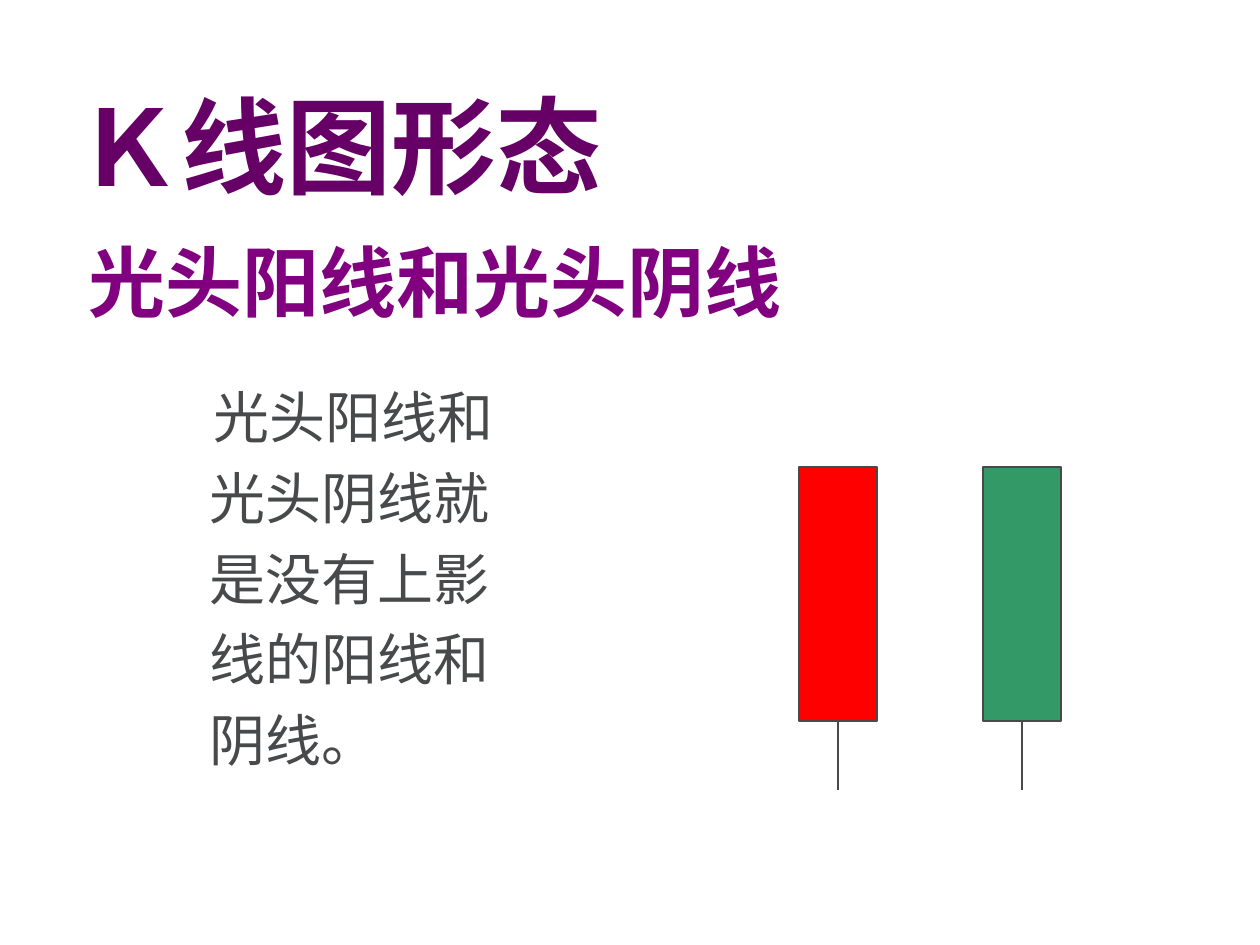
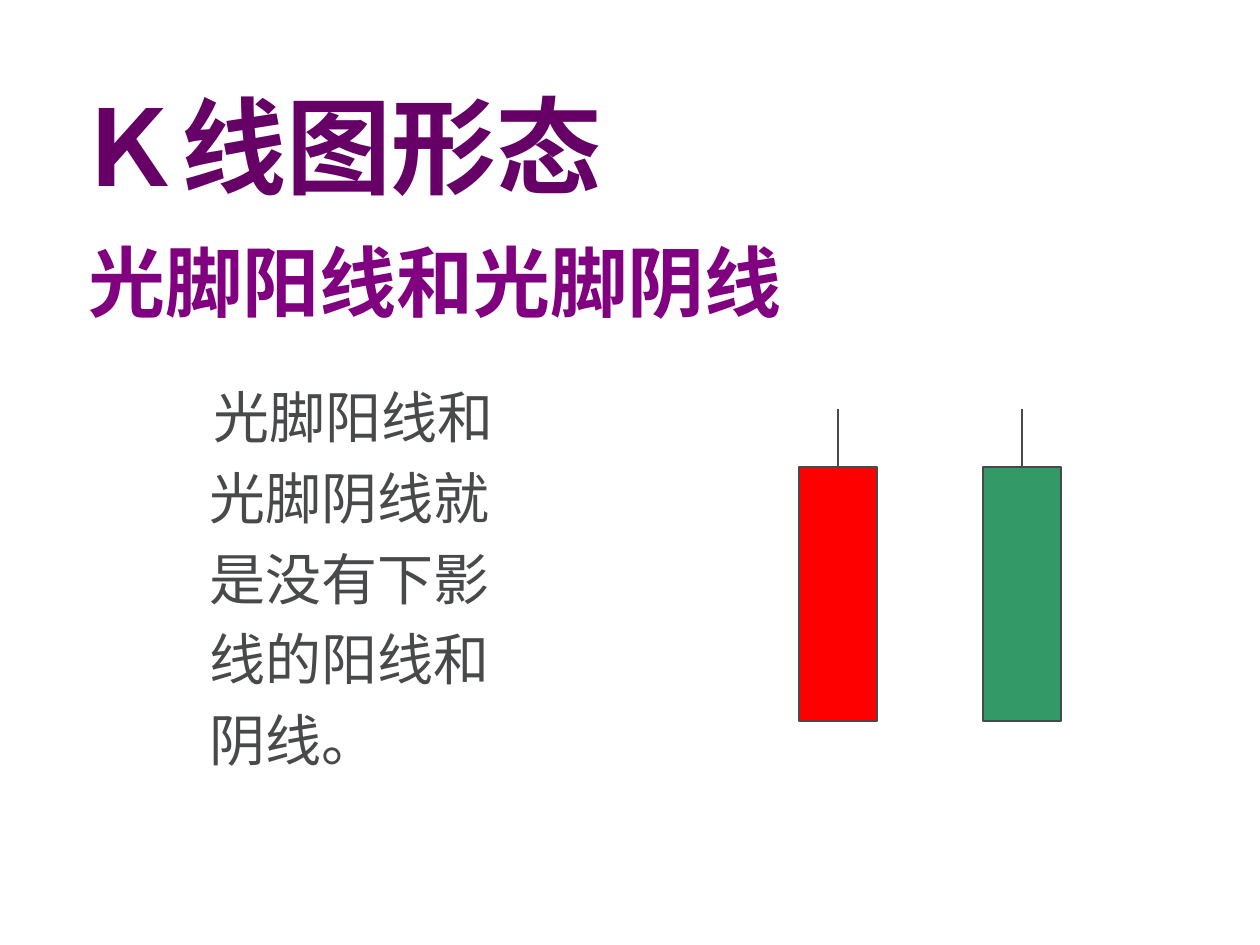
from dataclasses import dataclass

from lxml.etree import SubElement
from pptx import Presentation
from pptx.dml.color import RGBColor
from pptx.enum.shapes import MSO_CONNECTOR, MSO_SHAPE
from pptx.enum.text import MSO_ANCHOR, MSO_AUTO_SIZE, PP_ALIGN
from pptx.oxml.ns import qn
from pptx.util import Pt

TITLE = "Ｋ线图形态"
TOPICS = [
    {"heading": "光头阳线和光头阴线",
     "body": "光头阳线和光头阴线就是没有上影线的阳线和阴线。",
     "shadow": "lower"},
    {"heading": "光脚阳线和光脚阴线",
     "body": "光脚阳线和光脚阴线就是没有下影线的阳线和阴线。",
     "shadow": "upper"},
]


@dataclass(frozen=True)
class Theme:
    title: str = "660066"
    heading: str = "800080"
    ink: str = "47494B"
    rising: str = "FF0000"
    falling: str = "339966"
    latin: str = "Arial"
    chinese: str = "Noto Sans CJK SC"
    title_size: int = 60
    heading_size: int = 44
    body_size: int = 32
    line_width: float = 0.75


THEME = Theme()

# Lengths in px, 126 to the inch
SCALE = 914400 / 126
SLIDE_SIZE = (1260, 945)
TITLE_BOX = (64, 86, 1091, 128)
HEADING_BOX = (76, 228, 718, 106)
BODY_BOX = (113, 363, 437, 496)
BODY_INDENT, FIRST_LINE_INDENT = 84, 4
CANDLE_LEFT, CANDLE_TOP, CANDLE_STEP = 799, 467, 184
CANDLE_WIDTH, CANDLE_HEIGHT = 78, 254
# Connection site, direction and length of the shadow line
SHADOWS = {"upper": (0, -1, 58), "lower": (2, 1, 69)}


def px(length):
    return round(length * SCALE)


def colour(value):
    return RGBColor.from_string(value)


def place(shape, box):
    shape.left, shape.top, shape.width, shape.height = map(px, box)


def write(shape, text, font_name, size, text_colour, bold=False, anchor=MSO_ANCHOR.TOP):
    frame = shape.text_frame
    frame.auto_size = MSO_AUTO_SIZE.NONE
    frame.vertical_anchor = anchor
    paragraph = frame.paragraphs[0]
    paragraph.alignment = PP_ALIGN.LEFT
    run = paragraph.add_run()
    run.text = text
    font = run.font
    font.name, font.size, font.bold = font_name, Pt(size), bold
    font.color.rgb = colour(text_colour)
    SubElement(font._element, qn("a:ea"), typeface=THEME.chinese)
    return paragraph


def add_body(shape, text):
    place(shape, BODY_BOX)
    paragraph = write(shape, text, THEME.chinese, THEME.body_size, THEME.ink)
    paragraph.line_spacing = 1.2
    paragraph.space_before = Pt(8)
    properties = paragraph._p.get_or_add_pPr()
    properties.set("marL", str(px(BODY_INDENT)))
    properties.set("indent", str(px(FIRST_LINE_INDENT)))
    SubElement(properties, qn("a:buNone"))


def outline(shape):
    shape.line.color.rgb = colour(THEME.ink)
    shape.line.width = Pt(THEME.line_width)


def add_candle(slide, left, fill, shadow):
    """Draw a candle body with one shadow line above or below it."""
    candle = slide.shapes.add_shape(
        MSO_SHAPE.RECTANGLE, px(left), px(CANDLE_TOP), px(CANDLE_WIDTH), px(CANDLE_HEIGHT))
    candle.shadow.inherit = False
    candle.fill.solid()
    candle.fill.fore_color.rgb = colour(fill)
    outline(candle)

    site, direction, length = SHADOWS[shadow]
    middle = left + CANDLE_WIDTH / 2
    start = CANDLE_TOP + (CANDLE_HEIGHT if direction > 0 else 0)
    line = slide.shapes.add_connector(
        MSO_CONNECTOR.STRAIGHT, px(middle), px(start), px(middle), px(start + direction * length))
    line.begin_connect(candle, site)
    outline(line)
    SubElement(line._element.spPr, qn("a:effectLst"))


def add_topic(presentation, topic):
    slide = presentation.slides.add_slide(presentation.slide_layouts[1])
    title = slide.shapes.title
    place(title, TITLE_BOX)
    write(title, TITLE, THEME.latin, THEME.title_size, THEME.title, True, MSO_ANCHOR.BOTTOM)
    add_body(slide.placeholders[1], topic["body"])

    heading = slide.shapes.add_textbox(*map(px, HEADING_BOX))
    heading.text_frame.word_wrap = False
    write(heading, topic["heading"], THEME.latin, THEME.heading_size, THEME.heading, True)

    for index, fill in enumerate((THEME.rising, THEME.falling)):
        add_candle(slide, CANDLE_LEFT + index * CANDLE_STEP, fill, topic["shadow"])


def main():
    presentation = Presentation()
    presentation.slide_width, presentation.slide_height = map(px, SLIDE_SIZE)
    for topic in TOPICS:
        add_topic(presentation, topic)
    presentation.save("out.pptx")


if __name__ == "__main__":
    main()
